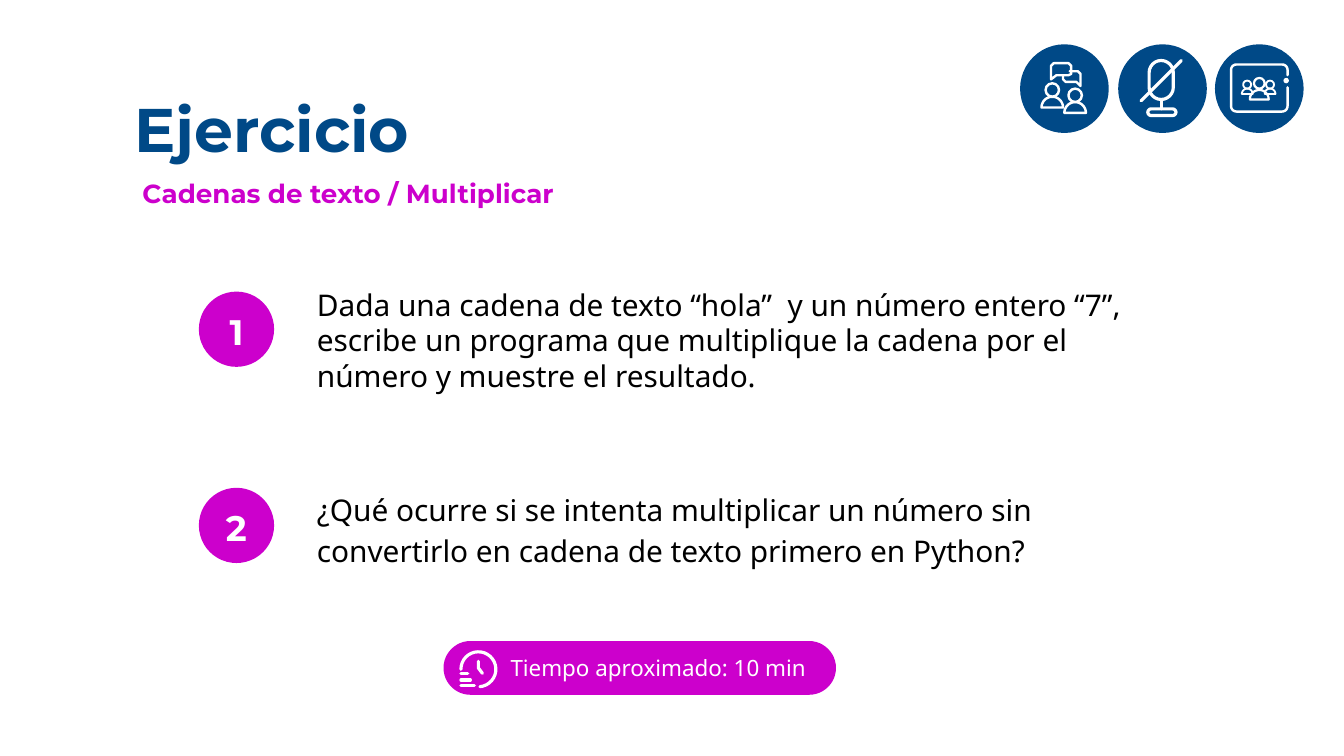
from math import cos, radians, sin

from pptx import Presentation
from pptx.dml.color import RGBColor
from pptx.enum.shapes import MSO_CONNECTOR, MSO_SHAPE
from pptx.enum.text import MSO_ANCHOR, MSO_AUTO_SIZE, PP_ALIGN
from pptx.oxml.ns import qn
from pptx.oxml.xmlchemy import OxmlElement
from pptx.util import Inches, Pt

COLORS = {"blue": "004987", "magenta": "CC00CC", "white": "FFFFFF", "black": "000000"}
HEADING = "Montserrat"
BODY = "Noto Sans"


def color(name):
    return RGBColor.from_string(COLORS[name])


def write(holder, text, font, size, tint, bold=False, inset=0.1, align=PP_ALIGN.LEFT, spacing=1.0):
    frame = holder.text_frame
    frame.word_wrap = True
    frame.auto_size = MSO_AUTO_SIZE.NONE
    frame.vertical_anchor = MSO_ANCHOR.TOP
    frame.margin_left = frame.margin_right = Inches(inset)
    frame.margin_top = frame.margin_bottom = Inches(inset)
    paragraph = frame.paragraphs[0]
    paragraph.text = text
    paragraph.alignment = align
    paragraph.line_spacing = spacing
    paragraph.font.name = font
    paragraph.font.size = Pt(size)
    paragraph.font.bold = bold
    paragraph.font.color.rgb = color(tint)
    return frame


def add_text(slide, box, text, *style, **options):
    holder = slide.shapes.add_textbox(*map(Inches, box))
    write(holder, text, *style, **options)


def add_filled(slide, kind, box, tint):
    shape = slide.shapes.add_shape(kind, *map(Inches, box))
    shape.shadow.inherit = False
    shape.fill.solid()
    shape.fill.fore_color.rgb = color(tint)
    shape.line.fill.background()
    return shape


def set_stroke(shape, weight):
    shape.line.color.rgb = color("white")
    shape.line.width = Pt(weight)
    shape.element.spPr.find(qn("a:ln")).set("cap", "rnd")


def add_outline(slide, kind, box, weight):
    shape = slide.shapes.add_shape(kind, *map(Inches, box))
    shape.shadow.inherit = False
    shape.fill.background()
    set_stroke(shape, weight)
    return shape


def add_line(slide, start, end, weight):
    line = slide.shapes.add_connector(MSO_CONNECTOR.STRAIGHT, *map(Inches, start + end))
    set_stroke(line, weight)
    line.element.spPr.append(OxmlElement("a:effectLst"))


def add_path(slide, points, weight, close=False):
    start, *rest = [(Inches(x), Inches(y)) for x, y in points]
    builder = slide.shapes.build_freeform(*start)
    builder.add_line_segments(rest, close=close)
    shape = builder.convert_to_shape()
    shape.shadow.inherit = False
    shape.fill.background()
    set_stroke(shape, weight)


def arc(x, y, radius, first, last, steps=24):
    angles = [radians(first + (last - first) * i / steps) for i in range(steps + 1)]
    return [(x + radius * cos(a), y + radius * sin(a)) for a in angles]


def add_person(slide, x, head_y, head_radius, base_y, body_radius, weight):
    head = (x - head_radius, head_y - head_radius, 2 * head_radius, 2 * head_radius)
    add_outline(slide, MSO_SHAPE.OVAL, head, weight)
    add_path(slide, arc(x, base_y, body_radius, 180, 360), weight, close=True)


def add_chat_icon(slide):
    add_person(slide, 7.83, 0.67, 0.05, 0.8, 0.08, 1.3)
    add_person(slide, 8, 0.71, 0.05, 0.84, 0.08, 1.3)
    front_bubble = [(7.82, 0.59), (7.82, 0.49), (7.84, 0.47), (7.95, 0.47),
                    (7.97, 0.49), (7.97, 0.55), (7.95, 0.56), (7.86, 0.56)]
    back_bubble = [(7.96, 0.53), (8.02, 0.53), (8.04, 0.55), (8.04, 0.64),
                   (8.01, 0.61), (7.93, 0.61), (7.91, 0.59), (7.91, 0.56)]
    add_path(slide, front_bubble, 1.3, close=True)
    add_path(slide, back_bubble, 1.3)


def add_muted_icon(slide):
    for box in ((8.55, 0.45, 0.18, 0.29), (8.54, 0.81, 0.21, 0.05)):
        add_outline(slide, MSO_SHAPE.ROUNDED_RECTANGLE, box, 1.7).adjustments[0] = 0.5
    add_line(slide, (8.64, 0.74), (8.64, 0.81), 1.7)
    add_line(slide, (8.49, 0.75), (8.79, 0.45), 1.7)


def add_meeting_icon(slide):
    left, top, right, bottom, radius = 9.16, 0.48, 9.58, 0.83, 0.04
    corners = [(right - radius, top + radius, 0), (left + radius, top + radius, -90),
               (left + radius, bottom - radius, -180), (right - radius, bottom - radius, -270)]
    screen = [(right, 0.56)]
    for x, y, angle in corners:
        screen += arc(x, y, radius, angle, angle - 90, 6)
    add_path(slide, screen + [(right, 0.65)], 1.3)
    add_filled(slide, MSO_SHAPE.OVAL, (9.55, 0.58, 0.04, 0.04), "white")
    add_person(slide, 9.37, 0.62, 0.04, 0.74, 0.07, 1.2)
    for x in (9.28, 9.45):
        add_person(slide, x, 0.63, 0.03, 0.7, 0.04, 1)


def add_clock_icon(slide):
    add_path(slide, arc(3.56, 4.98, 0.13, 180, 445), 1.7)
    add_path(slide, [(3.56, 4.92), (3.56, 4.97), (3.59, 5.01)], 1.7)
    for end, y in ((3.48, 5.01), (3.5, 5.06), (3.53, 5.1)):
        add_line(slide, (3.43, y), (end, y), 1.7)


def add_exercise(slide, number, circle_top, text_box, question, spacing):
    circle = add_filled(slide, MSO_SHAPE.OVAL, (1.48, circle_top, 0.56, 0.56), "magenta")
    frame = write(circle, number, HEADING, 19, "white", bold=True, inset=0, align=PP_ALIGN.CENTER)
    frame.vertical_anchor = MSO_ANCHOR.MIDDLE
    frame.margin_top = Inches(0.03)
    add_text(slide, text_box, question, BODY, 16, "black", spacing=spacing)


def add_duration(slide):
    pill = add_filled(slide, MSO_SHAPE.ROUNDED_RECTANGLE, (3.3, 4.77, 2.92, 0.4), "magenta")
    pill.adjustments[0] = 0.5
    frame = write(pill, "Tiempo aproximado: 10 min", BODY, 12, "white", inset=0)
    frame.word_wrap = False
    frame.vertical_anchor = MSO_ANCHOR.MIDDLE
    frame.margin_left = Inches(0.44)
    add_clock_icon(slide)


def add_title(slide):
    title = slide.shapes.title
    title.left, title.top, title.width, title.height = map(Inches, (0.93, 0.61, 5.04, 0.71))
    write(title, "Ejercicio", HEADING, 33, "blue", bold=True, inset=0.07)


def main():
    presentation = Presentation()
    presentation.slide_width = Inches(10)
    presentation.slide_height = Inches(10 * 9 / 16)
    slide = presentation.slides.add_slide(presentation.slide_layouts[5])

    for left in (7.59, 8.32, 9.04):
        add_filled(slide, MSO_SHAPE.OVAL, (left, 0.33, 0.66, 0.66), "blue")
    add_chat_icon(slide)
    add_muted_icon(slide)
    add_meeting_icon(slide)

    add_title(slide)
    add_text(slide, (0.99, 1.25, 3.41, 0.39), "Cadenas de texto / Multiplicar",
             HEADING, 14, "magenta", bold=True, inset=0.07)
    add_exercise(slide, "1", 2.17, (2.26, 2.03, 6.24, 1.01),
                 "Dada una cadena de texto “hola”  y un número entero “7”, escribe un programa "
                 "que multiplique la cadena por el número y muestre el resultado.", 1.0)
    add_exercise(slide, "2", 3.63, (2.26, 3.52, 6.05, 0.78),
                 "¿Qué ocurre si se intenta multiplicar un número sin convertirlo en cadena "
                 "de texto primero en Python?", 1.15)
    add_duration(slide)
    presentation.save("out.pptx")


if __name__ == "__main__":
    main()
